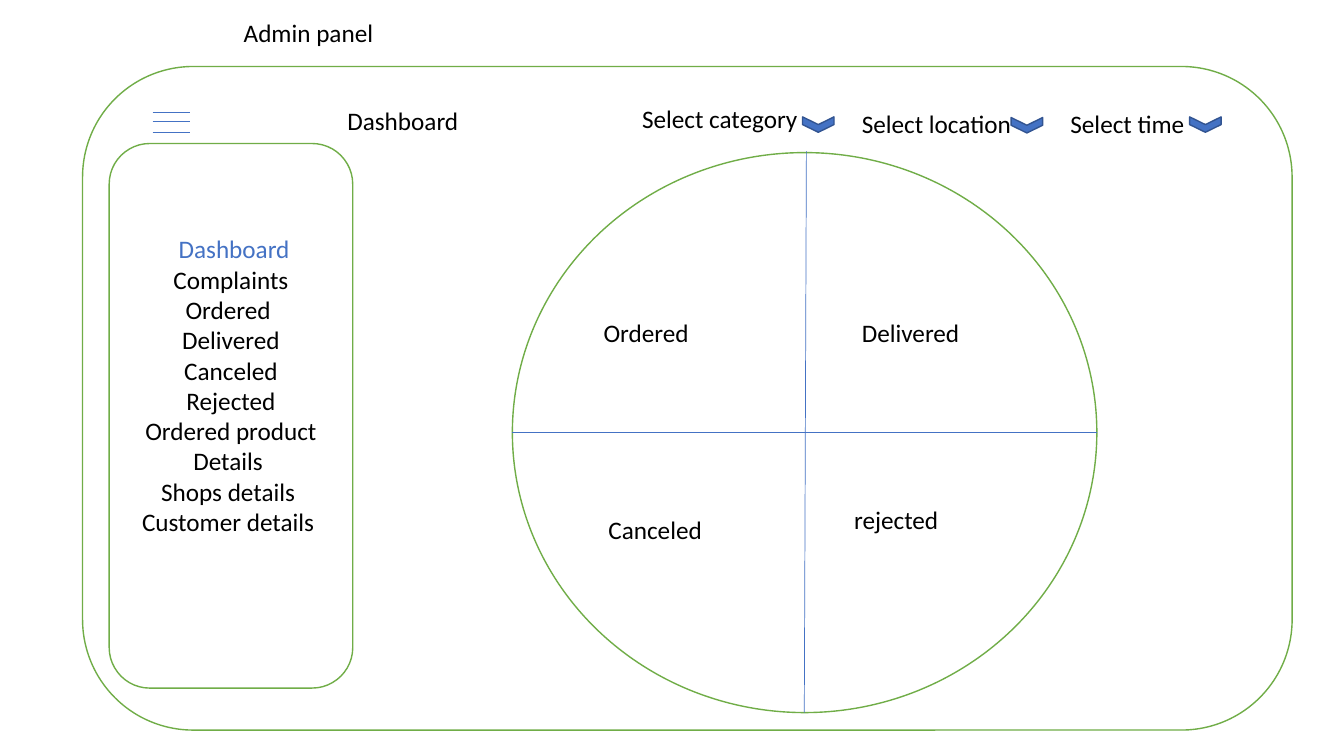
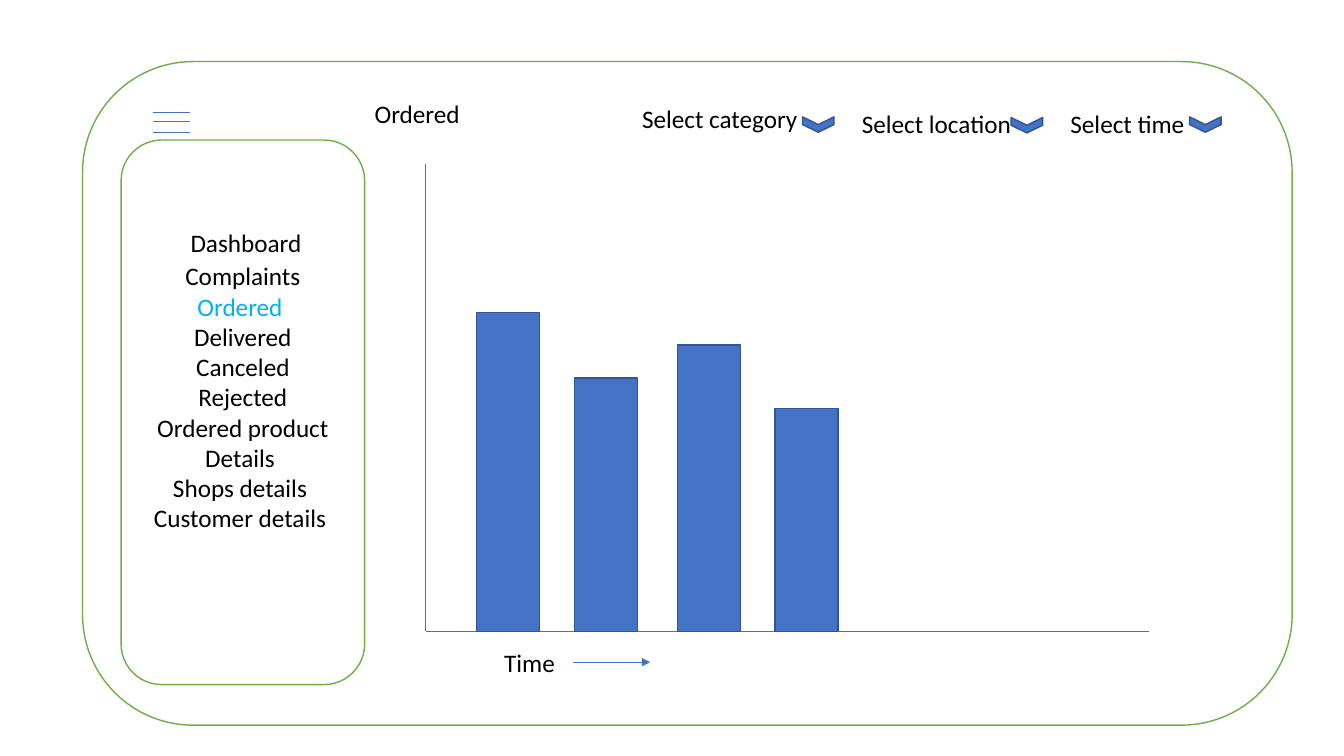
from pptx import Presentation
from pptx.dml.color import RGBColor
from pptx.enum import shapes, text
from pptx.oxml import ns, xmlchemy
from pptx.util import Pt

COLORS = {
    "white": "FFFFFF",
    "black": "000000",
    "green": "70AD47",
    "blue": "4472C4",
    "dark_blue": "325491",
    "sky": "00B0F0",
}
FONT = "Calibri"
FONT_SIZE = 18
LINE_HEIGHT = 22
MENU = ["Complaints", "Ordered ", "Delivered", "Canceled", "Rejected",
        "Ordered product Details ", "Shops details ", "Customer details "]
# label, label left, label top, chevron centre x, chevron centre y
SELECTORS = [
    ("Select category", 451.5, 70.5, 584.5, 89),
    ("Select location", 608.5, 73.5, 733.5, 89.5),
    ("Select time", 757.5, 73.5, 861, 89),
]
Kind = shapes.MSO_SHAPE


def rgb(name):
    return RGBColor.from_string(COLORS[name])


class Wireframe:
    """Holds the drawing style and the slide being drawn."""

    def __init__(self):
        self.presentation = Presentation()
        self.presentation.slide_width = Pt(960)
        self.presentation.slide_height = Pt(540)
        self.slide = None

    def new_slide(self):
        layout = self.presentation.slide_layouts[6]
        self.slide = self.presentation.slides.add_slide(layout)

    def add_words(self, paragraph, words, color="black"):
        run = paragraph.add_run()
        run.text = words
        run.font.name = FONT
        run.font.size = Pt(FONT_SIZE)
        run.font.color.rgb = rgb(color)

    def label(self, words, left, top, width=140, color="black"):
        box = self.slide.shapes.add_textbox(Pt(left), Pt(top), Pt(width), Pt(29))
        box.text_frame.word_wrap = True
        self.add_words(box.text_frame.paragraphs[0], words, color)

    def shape(self, kind, left, top, width, height, fill="white", line="green"):
        shape = self.slide.shapes.add_shape(
            kind, Pt(left), Pt(top), Pt(width), Pt(height))
        shape.shadow.inherit = False
        shape.fill.solid()
        shape.fill.fore_color.rgb = rgb(fill)
        shape.line.color.rgb = rgb(line)
        shape.line.width = Pt(1)
        return shape

    def solid(self, kind, left, top, width, height):
        return self.shape(kind, left, top, width, height, "blue", "dark_blue")

    def line(self, x1, y1, x2, y2, arrow=False):
        connector = self.slide.shapes.add_connector(
            shapes.MSO_CONNECTOR.STRAIGHT, Pt(x1), Pt(y1), Pt(x2), Pt(y2))
        connector.line.color.rgb = rgb("blue")
        connector.line.width = Pt(0.5)
        properties = connector.element.find(ns.qn("p:spPr"))
        if arrow:
            tail = xmlchemy.OxmlElement("a:tailEnd")
            tail.set("type", "triangle")
            properties.find(ns.qn("a:ln")).append(tail)
        properties.append(xmlchemy.OxmlElement("a:effectLst"))

    def window(self, top):
        """Draw the outer frame with its menu icon."""
        self.shape(Kind.ROUNDED_RECTANGLE, 59, top, 864, 474)
        for y in (80, 86.5, 94.5):
            self.line(109, y, 136, y)

    def sidebar(self, left, top, heading_top, active, active_color):
        panel = self.shape(Kind.ROUNDED_RECTANGLE, left, top, 174, 389)
        frame = panel.text_frame
        frame.word_wrap = True
        frame.vertical_anchor = text.MSO_ANCHOR.MIDDLE
        frame.margin_bottom = Pt(3.6 + LINE_HEIGHT)

        def color_of(item):
            return active_color if item.strip() == active else "black"

        for index, item in enumerate(MENU):
            paragraph = frame.add_paragraph() if index else frame.paragraphs[0]
            paragraph.alignment = text.PP_ALIGN.CENTER
            self.add_words(paragraph, item, color_of(item))
        self.label("Dashboard", left + 42.5, heading_top,
                   color=color_of("Dashboard"))

    def selectors(self):
        width, height = 11, 22.5
        for words, left, top, x, y in SELECTORS:
            self.label(words, left, top)
            chevron = self.solid(
                Kind.CHEVRON, x - width / 2, y - height / 2, width, height)
            chevron.rotation = 90

    def quadrants(self):
        left, top, width, height = 366, 109, 417.5, 400
        middle = top + height / 2
        self.shape(Kind.OVAL, left, top, width, height)
        self.line(576, 108, 574.5, top + height)
        self.line(left, middle, left + width, middle)
        for words, x, y in (("Ordered", 424, 223), ("Delivered", 608.5, 223),
                            ("Canceled", 427.5, 364), ("rejected", 603, 357)):
            self.label(words, x, y)

    def bars(self):
        left, baseline = 304, 451
        self.line(left, 117.5, left, baseline)
        self.line(left, baseline, 821, baseline)
        for x, height in ((340.5, 228), (410.5, 181), (484, 204.5), (553.5, 159)):
            self.solid(Kind.RECTANGLE, x, baseline - height, 45, height)
        self.label("Time", 353, 458.5)
        self.line(409, 473, 464.5, 473, arrow=True)


def main():
    wireframe = Wireframe()

    wireframe.new_slide()
    wireframe.window(47.5)
    wireframe.sidebar(78, 102.5, 163, "Dashboard", "blue")
    wireframe.selectors()
    wireframe.quadrants()
    wireframe.label("Admin panel", 167, 9)
    wireframe.label("Dashboard", 241, 71.5)

    wireframe.new_slide()
    wireframe.window(44)
    wireframe.sidebar(86.5, 100, 159, "Ordered", "sky")
    wireframe.selectors()
    wireframe.bars()
    wireframe.label("Ordered", 260.5, 67)

    wireframe.presentation.save("out.pptx")


if __name__ == "__main__":
    main()
